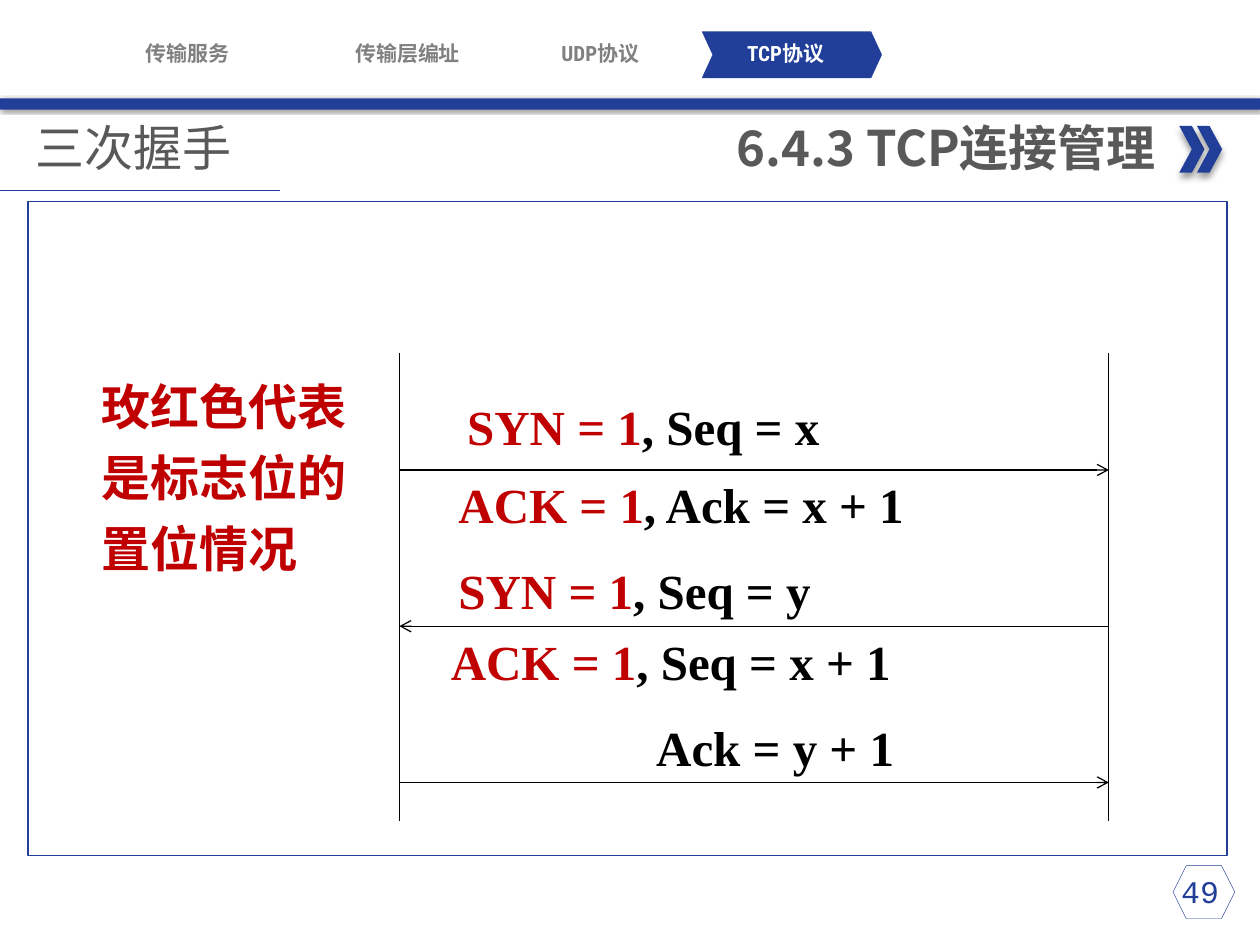
from dataclasses import dataclass

from lxml.etree import SubElement
from pptx import Presentation
from pptx.dml.color import RGBColor
from pptx.enum.shapes import MSO_CONNECTOR, MSO_SHAPE
from pptx.enum.text import MSO_ANCHOR, PP_ALIGN
from pptx.oxml.ns import qn
from pptx.util import Inches, Pt


@dataclass(frozen=True)
class Theme:
    blue: str = "213F99"
    gray: str = "595959"
    muted: str = "808080"
    red: str = "C00000"
    black: str = "000000"
    white: str = "FFFFFF"
    heading: int = 28
    number: int = 18
    tab: int = 12
    chinese: str = "Noto Sans CJK SC"
    latin: str = "Times New Roman"
    narrow: str = "Roboto Condensed"
    mono: str = "Courier New"


THEME = Theme()


def set_all(target, values):
    for name, value in values.items():
        setattr(target, name, value)


class SlideBuilder:
    """Holds the theme, the slide and the shape collection being filled."""

    def __init__(self, deck, theme):
        self.theme = theme
        self.page = deck.slides.add_slide(deck.slide_layouts[5])
        self.canvas = self.page.shapes

    def start_group(self):
        self.canvas = self.page.shapes.add_group_shape().shapes

    def end_group(self):
        self.canvas = self.page.shapes

    def shape(self, kind, at, fill=None, line=None, shadow=None):
        """Shadow is (blur, distance, angle) in points and degrees."""
        shape = self.canvas.add_shape(kind, *map(Inches, at))
        shape.shadow.inherit = False
        if fill:
            shape.fill.solid()
            shape.fill.fore_color.rgb = RGBColor.from_string(fill)
        else:
            shape.fill.background()
        if line:
            shape.line.color.rgb = RGBColor.from_string(self.theme.blue)
            shape.line.width = Pt(line)
        else:
            shape.line.fill.background()
        if shadow:
            blur, distance, angle = shadow
            effects = shape._element.spPr.find(qn("a:effectLst"))
            outer = SubElement(effects, qn("a:outerShdw"), blurRad=str(Pt(blur)),
                               dist=str(Pt(distance)), dir=str(angle * 60000),
                               algn="ctr", rotWithShape="0")
            color = SubElement(outer, qn("a:srgbClr"), val=self.theme.black)
            SubElement(color, qn("a:alpha"), val="40000")
        return shape

    def line(self, start, end, color, width=0.75, arrow=False):
        line = self.canvas.add_connector(MSO_CONNECTOR.STRAIGHT, *map(Inches, start + end))
        line.line.color.rgb = RGBColor.from_string(color)
        line.line.width = Pt(width)
        if arrow:
            outline = line._element.spPr.find(qn("a:ln"))
            SubElement(outline, qn("a:tailEnd"), type="arrow")
        SubElement(line._element.spPr, qn("a:effectLst"))

    def fill_text(self, box, paragraphs, font, size, bold=True, align=PP_ALIGN.LEFT,
                  margins=(0.1, 0.05, 0.1, 0.05), anchor=MSO_ANCHOR.TOP, gap=0, wrap=True):
        """Each paragraph is a list of (text, color) spans."""
        left, top, right, bottom = map(Inches, margins)
        frame = box.text_frame
        set_all(frame, {"margin_left": left, "margin_top": top, "margin_right": right,
                        "margin_bottom": bottom, "vertical_anchor": anchor,
                        "word_wrap": wrap})
        for index, spans in enumerate(paragraphs):
            para = frame.add_paragraph() if index else frame.paragraphs[0]
            set_all(para, {"alignment": align, "space_before": Pt(gap if index else 0)})
            for text, color in spans:
                span = para.add_run()
                span.text = text
                set_all(span.font, {"name": font, "size": Pt(size), "bold": bold})
                span.font.color.rgb = RGBColor.from_string(color)
                SubElement(span.font._element, qn("a:ea"), typeface=self.theme.chinese)

    def text(self, at, paragraphs, font, size, **style):
        box = self.canvas.add_textbox(*map(Inches, at))
        self.fill_text(box, paragraphs, font, size, **style)
        return box

    def title(self, at, text):
        box = self.page.shapes.title
        set_all(box, dict(zip(("left", "top", "width", "height"), map(Inches, at))))
        self.fill_text(box, [[(text, self.theme.gray)]], self.theme.chinese,
                       self.theme.heading, bold=False, anchor=MSO_ANCHOR.MIDDLE,
                       margins=(0.28, 0.05, 0.1, 0.05))


def add_frame(slide):
    slide.title((0, 0.92, 2.59, 0.49), "三次握手")
    slide.shape(MSO_SHAPE.HEXAGON, (9.31, 6.87, 0.49, 0.42), line=0.25)
    slide.shape(MSO_SHAPE.RECTANGLE, (0, 0.78, 10, 0.09), THEME.blue, shadow=(2, 1, 45))
    slide.start_group()
    for left in (9.36, 9.5):
        slide.shape(MSO_SHAPE.CHEVRON, (left, 1, 0.2, 0.37), THEME.blue, shadow=(4, 3, 90))
    slide.end_group()
    slide.text((9.09, 6.87, 0.87, 0.4), [[("49", THEME.blue)]], THEME.mono, THEME.number,
               bold=False, align=PP_ALIGN.CENTER)
    slide.text((0.76, 0.88, 8.51, 0.57), [[("6.4.3 TCP连接管理", THEME.gray)]],
               THEME.chinese, THEME.heading, align=PP_ALIGN.RIGHT)
    slide.line((0, 1.51), (2.22, 1.51), THEME.blue, 0.5)
    slide.shape(MSO_SHAPE.RECTANGLE, (0.22, 1.6, 9.52, 5.19), line=1)


def add_tabs(slide):
    marker = slide.shape(MSO_SHAPE.CHEVRON, (5.57, 0.25, 1.43, 0.37), THEME.blue)
    marker.adjustments[0] = 0.23
    tabs = {"传输服务": 0.76, "传输层编址": 2.51, "UDP协议": 4.04, "TCP协议": 5.51}
    for label, left in tabs.items():
        color = THEME.white if label == "TCP协议" else THEME.muted
        slide.text((left, 0.32, 1.45, 0.2), [[(label, color)]], THEME.narrow, THEME.tab,
                   align=PP_ALIGN.CENTER, margins=(0, 0, 0, 0), anchor=MSO_ANCHOR.MIDDLE)


def add_handshake(slide):
    client, server, first, step = 3.17, 8.8, 3.73, 1.24
    slide.start_group()
    for host in (client, server):
        slide.line((host, 2.8), (host, 6.52), THEME.black)
    for index in range(3):
        ends = (server, client) if index == 1 else (client, server)
        y = first + index * step
        slide.line((ends[0], y), (ends[1], y), THEME.black, arrow=True)

    messages = [
        ((3.61, 3.11, 4.13, 0.62), [("SYN = 1", ", Seq = x")]),
        ((3.54, first, 4.88, step), [("ACK = 1", ", Ack = x + 1"), ("SYN = 1", ", Seq = y")]),
        ((3.48, first + step, 4.13, step), [("ACK = 1", ", Seq = x + 1"), ("", "Ack = y + 1")]),
    ]
    for at, rows in messages:
        paragraphs = [[(text, color) for text, color in zip(row, (THEME.red, THEME.black)) if text]
                      for row in rows]
        box = slide.text(at, paragraphs, THEME.latin, THEME.heading,
                         margins=(0.1, 0.04, 0.1, 0), gap=15.5)
    acknowledgement = box.text_frame.paragraphs[-1]
    acknowledgement._p.get_or_add_pPr().set("marL", str(Inches(1.63)))

    note = [[(text, THEME.red)] for text in ("玫红色代表", "是标志位的", "置位情况")]
    slide.text((0.71, 2.99, 2.17, 1.99), note, THEME.chinese, THEME.heading,
               margins=(0.1, 0, 0.1, 0.05), gap=7, wrap=False)
    slide.end_group()


def main():
    deck = Presentation()
    set_all(deck, {"slide_width": Inches(10), "slide_height": Inches(7.5)})
    slide = SlideBuilder(deck, THEME)
    add_frame(slide)
    add_tabs(slide)
    add_handshake(slide)
    deck.save("out.pptx")


if __name__ == "__main__":
    main()
